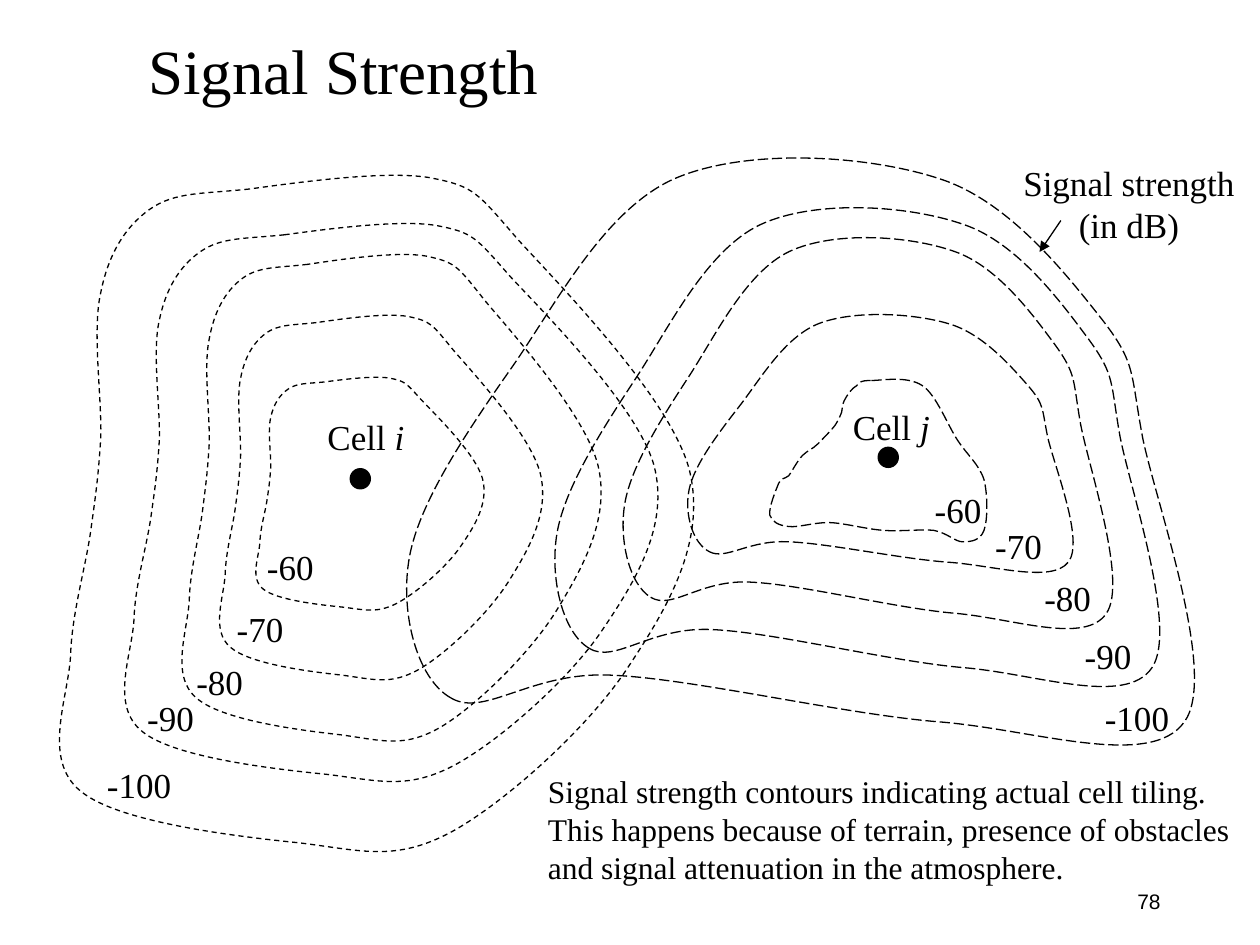
from dataclasses import dataclass

from lxml.etree import SubElement
from pptx import Presentation
from pptx.dml.color import RGBColor
from pptx.enum.dml import MSO_LINE
from pptx.enum.shapes import MSO_CONNECTOR, MSO_SHAPE
from pptx.enum.text import MSO_ANCHOR, PP_ALIGN
from pptx.oxml.ns import qn
from pptx.util import Inches, Pt


@dataclass(frozen=True)
class Theme:
    ink: RGBColor = RGBColor(0, 0, 0)
    serif: str = "Times New Roman"
    sans: str = "Arial"
    title: int = 36
    label: int = 20
    caption: int = 18
    number: int = 12
    line: float = 0.75


# Each outline: its start, then cubic curves as (control, control, end).
CELL_I = [(1.98, 1.5),
          (1.61, 1.54), (1.39, 1.52), (1.19, 1.66), (0.99, 1.8), (0.86, 2.02), (0.8, 2.32),
          (0.73, 2.62), (0.81, 3.16), (0.8, 3.47), (0.78, 3.79), (0.76, 3.92), (0.72, 4.21),
          (0.68, 4.5), (0.57, 4.86), (0.56, 5.2), (0.54, 5.54), (0.33, 6.02), (0.64, 6.27),
          (0.94, 6.52), (1.89, 6.63), (2.38, 6.68), (2.87, 6.74), (3.13, 6.83), (3.57, 6.6),
          (4, 6.37), (4.68, 5.76), (4.99, 5.28), (5.31, 4.8), (5.61, 4.28), (5.47, 3.72),
          (5.32, 3.16), (4.47, 2.29), (4.12, 1.91), (3.78, 1.52), (3.77, 1.48), (3.41, 1.41),
          (3.05, 1.35), (2.35, 1.45), (1.98, 1.5)]
CELL_J = [(3.58, 5.54),
          (3.85, 5.7), (4.22, 5.32), (4.87, 5.36), (5.52, 5.39), (6.7, 5.67), (7.46, 5.73),
          (8.21, 5.79), (9.13, 6.11), (9.4, 5.73), (9.67, 5.36), (9.18, 4.01), (9.07, 3.48),
          (8.97, 2.95), (9.02, 2.89), (8.75, 2.54), (8.48, 2.2), (8.02, 1.6), (7.46, 1.42),
          (6.89, 1.23), (5.92, 1.17), (5.35, 1.42), (4.79, 1.67), (4.41, 2.42), (4.06, 2.92),
          (3.71, 3.42), (3.33, 3.98), (3.25, 4.42), (3.17, 4.86), (3.31, 5.39), (3.58, 5.54)]
CELL_J_CORE = [(6.91, 3.02),
               (6.83, 3.02), (6.83, 3.03), (6.8, 3.06), (6.76, 3.08), (6.72, 3.14), (6.7, 3.18),
               (6.68, 3.22), (6.69, 3.24), (6.68, 3.27), (6.67, 3.3), (6.66, 3.32), (6.63, 3.37),
               (6.6, 3.41), (6.53, 3.48), (6.49, 3.52), (6.45, 3.56), (6.41, 3.57), (6.37, 3.61),
               (6.33, 3.65), (6.29, 3.73), (6.26, 3.77), (6.22, 3.8), (6.21, 3.78), (6.18, 3.83),
               (6.16, 3.88), (6.1, 4.02), (6.11, 4.08), (6.13, 4.13), (6.17, 4.16), (6.26, 4.17),
               (6.34, 4.18), (6.48, 4.13), (6.61, 4.14), (6.73, 4.15), (6.88, 4.19), (7.01, 4.2),
               (7.14, 4.21), (7.3, 4.19), (7.41, 4.2), (7.52, 4.22), (7.58, 4.29), (7.64, 4.29),
               (7.71, 4.29), (7.78, 4.28), (7.81, 4.2), (7.84, 4.12), (7.84, 3.92), (7.81, 3.8),
               (7.77, 3.68), (7.68, 3.61), (7.6, 3.49), (7.52, 3.37), (7.43, 3.13), (7.32, 3.06),
               (7.2, 2.98), (7, 3.02), (6.91, 3.02)]


def fit(points, left, top, width, height):
    """Scale an outline into a box."""
    xs, ys = zip(*points)
    kx = width / (max(xs) - min(xs))
    ky = height / (max(ys) - min(ys))
    return [(left + (x - min(xs)) * kx, top + (y - min(ys)) * ky) for x, y in points]


class Sketch:
    def __init__(self, slide, theme):
        self.s = slide
        self.theme = theme

    def style_line(self, line, dash=None):
        line.color.rgb = self.theme.ink
        line.width = Pt(self.theme.line)
        if dash:
            line.dash_style = dash

    def text(self, text, left, top, width, height, size, font=None, italic="",
             align=PP_ALIGN.LEFT, anchor=MSO_ANCHOR.TOP, spacing=None):
        box = self.s.shapes.add_textbox(Inches(left), Inches(top), Inches(width), Inches(height))
        tf = box.text_frame
        tf.word_wrap = True
        tf.vertical_anchor = anchor
        tf.text = text
        p = tf.paragraphs[0]
        p.alignment = align
        p.line_spacing = spacing
        if italic:
            r = p.add_run()
            r.text = italic
            r.font.italic = True
        for r in p.runs:
            r.font.name = font or self.theme.serif
            r.font.size = Pt(size)
            r.font.color.rgb = self.theme.ink

    def contour(self, outline, box, dash):
        points = [(Inches(x), Inches(y)) for x, y in fit(outline, *box)]
        builder = self.s.shapes.build_freeform(*points[0])
        builder.add_line_segments(points[1:], close=True)
        sp = builder.convert_to_shape()
        # Join every three straight segments into one cubic curve
        segments = list(sp._element.iter(qn("a:lnTo")))
        for i in range(0, len(segments), 3):
            curve = segments[i].makeelement(qn("a:cubicBezTo"))
            segments[i].addprevious(curve)
            for segment in segments[i:i + 3]:
                curve.append(segment[0])
                segment.getparent().remove(segment)
        sp.shadow.inherit = False
        sp.fill.background()
        self.style_line(sp.line, dash)

    def dot(self, left, top, size=0.16):
        sp = self.s.shapes.add_shape(MSO_SHAPE.FLOWCHART_CONNECTOR, Inches(left), Inches(top),
                                     Inches(size), Inches(size))
        sp.shadow.inherit = False
        sp.fill.solid()
        sp.fill.fore_color.rgb = self.theme.ink
        self.style_line(sp.line)

    def arrow(self, x1, y1, x2, y2):
        c = self.s.shapes.add_connector(MSO_CONNECTOR.STRAIGHT, Inches(x1), Inches(y1),
                                        Inches(x2), Inches(y2))
        self.style_line(c.line)
        SubElement(c.line._get_or_add_ln(), qn("a:tailEnd"), type="triangle")
        SubElement(c._element.spPr, qn("a:effectLst"))


def main():
    prs = Presentation()
    prs.slide_width, prs.slide_height = Inches(10), Inches(7.5)
    theme = Theme()
    sketch = Sketch(prs.slides.add_slide(prs.slide_layouts[6]), theme)

    # Title, slide number and caption
    sketch.text("Signal Strength", 1.08, 0.17, 8.5, 0.83, theme.title,
                anchor=MSO_ANCHOR.MIDDLE, spacing=0.9)
    sketch.text("78", 7.06, 6.95, 2.25, 0.4, theme.number, font=theme.sans,
                align=PP_ALIGN.RIGHT, anchor=MSO_ANCHOR.MIDDLE)
    sketch.text("Signal strength contours indicating actual cell tiling. This happens because "
                "of terrain, presence of obstacles and signal attenuation in the atmosphere.",
                4.25, 6.08, 5.67, 1, theme.caption)

    # Contours of cell i, from weak to strong
    for box in [(0.33, 1.35, 5.28, 5.49), (0.87, 1.74, 4.44, 4.53), (1.35, 1.99, 3.49, 3.95),
                (1.67, 2.48, 2.69, 2.96), (1.98, 2.98, 1.9, 1.89)]:
        sketch.contour(CELL_I, box, MSO_LINE.DASH)
    sketch.dot(2.78, 3.72)

    # Contours of cell j, from strong to weak
    sketch.contour(CELL_J_CORE, (6.1, 2.98, 1.74, 1.32), MSO_LINE.LONG_DASH)
    sketch.dot(6.97, 3.55)
    for box in [(5.43, 2.46, 3.18, 2.17), (4.91, 1.83, 4.04, 3.29),
                (4.36, 1.58, 4.99, 4.03), (3.17, 1.17, 6.5, 4.94)]:
        sketch.contour(CELL_J, box, MSO_LINE.LONG_DASH)

    # Signal levels: one place per cell
    levels = {-100: [(0.75, 6.01), (8.67, 5.48)], -90: [(1.07, 5.48), (8.51, 4.99)],
              -80: [(1.46, 5.19), (8.19, 4.53)], -70: [(1.78, 4.77), (7.8, 4.11)],
              -60: [(2.02, 4.28), (7.32, 3.83)]}
    for level, places in levels.items():
        for left, top in places:
            sketch.text(str(level), left, top, 0.83, 0.43, theme.label)

    # Contour legend and cell names
    sketch.text("Signal strength (in dB)", 8, 1.23, 1.92, 0.77, theme.label,
                align=PP_ALIGN.CENTER)
    sketch.arrow(8.42, 1.75, 8.25, 2)
    for name, left, top in [("i", 2.5, 3.25), ("j", 6.67, 3.17)]:
        sketch.text("Cell ", left, top, 1.08, 0.43, theme.label, italic=name)

    prs.save("out.pptx")


if __name__ == "__main__":
    main()
